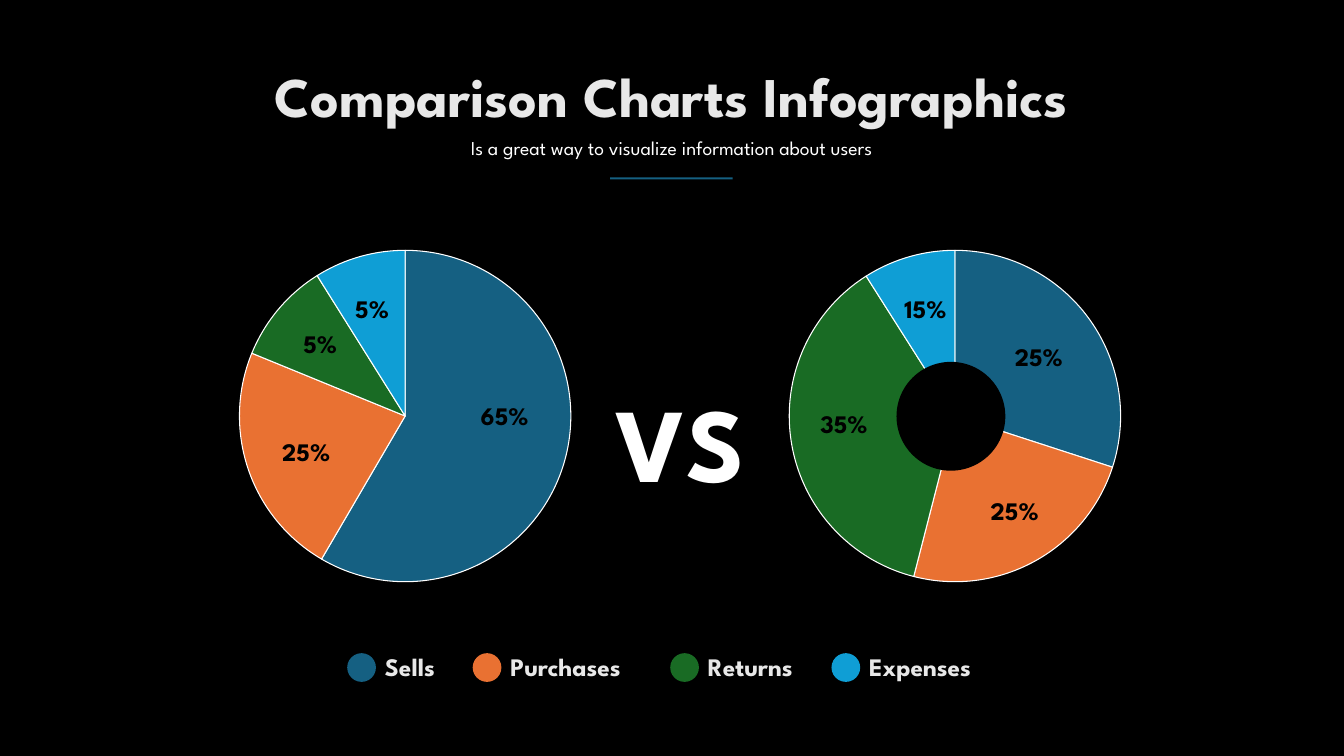
from lxml import etree
from pptx import Presentation
from pptx.chart.data import CategoryChartData
from pptx.dml.color import RGBColor
from pptx.enum.chart import XL_CHART_TYPE as ChartType
from pptx.enum.shapes import MSO_SHAPE as Preset
from pptx.enum.text import MSO_AUTO_SIZE as AutoSize, PP_ALIGN as Align
from pptx.oxml import parse_xml
from pptx.oxml.ns import nsdecls
from pptx.util import Pt

PX = 9144  # EMU per px, 100 px to the inch
FONT = "League Spartan"
COLORS = {
    "back": "000000", "white": "FFFFFF", "light": "E8E8E8",
    "Sells": "156082", "Purchases": "E97132",
    "Returns": "196B24", "Expenses": "0F9ED5",
}
SERIES_KEYS = ["Sells", "Purchases", "Returns", "Expenses"]


def color(name):
    return RGBColor.from_string(COLORS[name])


def emu(*lengths):
    return [length * PX for length in lengths]


def add_text(page, box, text, size, tint, bold=True, align=Align.LEFT, wrap=True):
    frame = page.shapes.add_textbox(*emu(*box)).text_frame
    frame.word_wrap = wrap
    frame.auto_size = AutoSize.SHAPE_TO_FIT_TEXT
    para = frame.paragraphs[0]
    para.alignment = align
    span = para.add_run()
    span.text = text
    span.font.name = FONT
    span.font.size = Pt(size)
    span.font.bold = bold
    span.font.color.rgb = color(tint)


def add_solid(page, preset, box, tint):
    shape = page.shapes.add_shape(preset, *emu(*box))
    shape.shadow.inherit = False
    shape.fill.solid()
    shape.fill.fore_color.rgb = color(tint)
    shape.line.fill.background()


def set_plot_layout(chart, width, height):
    """Centre a round plot that fills 96% of the chart's height."""
    h = 0.96
    w = round(h * height / width, 2)
    layout = parse_xml(
        f'<c:layout {nsdecls("c")}><c:manualLayout><c:layoutTarget val="inner"/>'
        '<c:xMode val="edge"/><c:yMode val="edge"/>'
        f'<c:x val="{(1 - w) / 2:.2f}"/><c:y val="{(1 - h) / 2:.2f}"/>'
        f'<c:w val="{w}"/><c:h val="{h}"/></c:manualLayout></c:layout>')
    plot_area = chart.plots[0]._element.getparent()
    for old in plot_area.findall(etree.QName(layout).text):
        plot_area.remove(old)
    plot_area.insert(0, layout)


def add_pie(page, box, values, labels, hole=None):
    """Pie with one (text, x, y) label per slice; hole is (x, y, diameter)."""
    left, top, width, height = box
    data = CategoryChartData()
    data.categories = ["1", "2", "3", "4"]
    data.add_series("Series 1", values)
    chart = page.shapes.add_chart(ChartType.PIE, *emu(*box), data).chart
    chart.has_legend = False
    chart.has_title = False
    chart.font.name = "Calibri"
    chart.font.size = Pt(10)
    chart.font.color.rgb = color("white")
    plot = chart.plots[0]
    plot.vary_by_categories = True
    for index, key in enumerate(SERIES_KEYS):
        slice_format = plot.series[0].points[index].format
        slice_format.fill.solid()
        slice_format.fill.fore_color.rgb = color(key)
        slice_format.line.color.rgb = color("white")
        slice_format.line.width = Pt(1.5)
    set_plot_layout(chart, width, height)

    if hole:
        x, y, diameter = hole
        add_solid(page, Preset.OVAL, (left + x, top + y, diameter, diameter), "back")
    for text, x, y in labels:
        add_text(page, (left + x, top + y, 129, 71), text, 36, "back")


def add_header(page, box):
    left, top, width, height = box
    add_text(page, (left, top, width, 145), "Comparison Charts Infographics",
             80, "light", align=Align.CENTER, wrap=False)
    add_text(page, (left, top + 148, width, 57),
             "Is a great way to visualize information about users",
             28, "white", bold=False, align=Align.CENTER)
    rule_width = 243
    add_solid(page, Preset.RECTANGLE,
              (left + (width - rule_width) // 2, top + height - 4, rule_width, 4), "Sells")


def add_legend(page, box, entries):
    """Dots with names; entries are (key, x, text width)."""
    left, top, _, height = box
    dot = 57
    for key, x, text_width in entries:
        add_solid(page, Preset.OVAL, (left + x, top + 8, dot, dot), key)
        add_text(page, (left + x + 65, top, text_width, height), key, 36, "light")


def main():
    deck = Presentation()
    deck.slide_width, deck.slide_height = emu(2667, 1500)
    page = deck.slides.add_slide(deck.slide_layouts[6])
    page.background.fill.solid()
    page.background.fill.fore_color.rgb = color("back")

    # Pies to compare
    add_pie(page, (290, 483, 1028, 685), [59, 23, 10, 9],
            [("65%", 654, 306), ("25%", 260, 377), ("5%", 302, 164), ("5%", 405, 94)])
    add_pie(page, (1381, 483, 1028, 685), [30, 24, 37, 9],
            [("25%", 623, 189), ("25%", 575, 494), ("35%", 237, 323), ("15%", 404, 94)],
            hole=(398, 235, 216))
    add_text(page, (1211, 745, 277, 263), "VS", 150, "white",
             align=Align.CENTER, wrap=False)

    # Title block and legend
    add_header(page, (447, 117, 1771, 239))
    add_legend(page, (689, 1288, 1277, 71),
               [("Sells", 0, 201), ("Purchases", 249, 278),
                ("Returns", 641, 202), ("Expenses", 961, 252)])

    deck.save("out.pptx")


if __name__ == "__main__":
    main()
